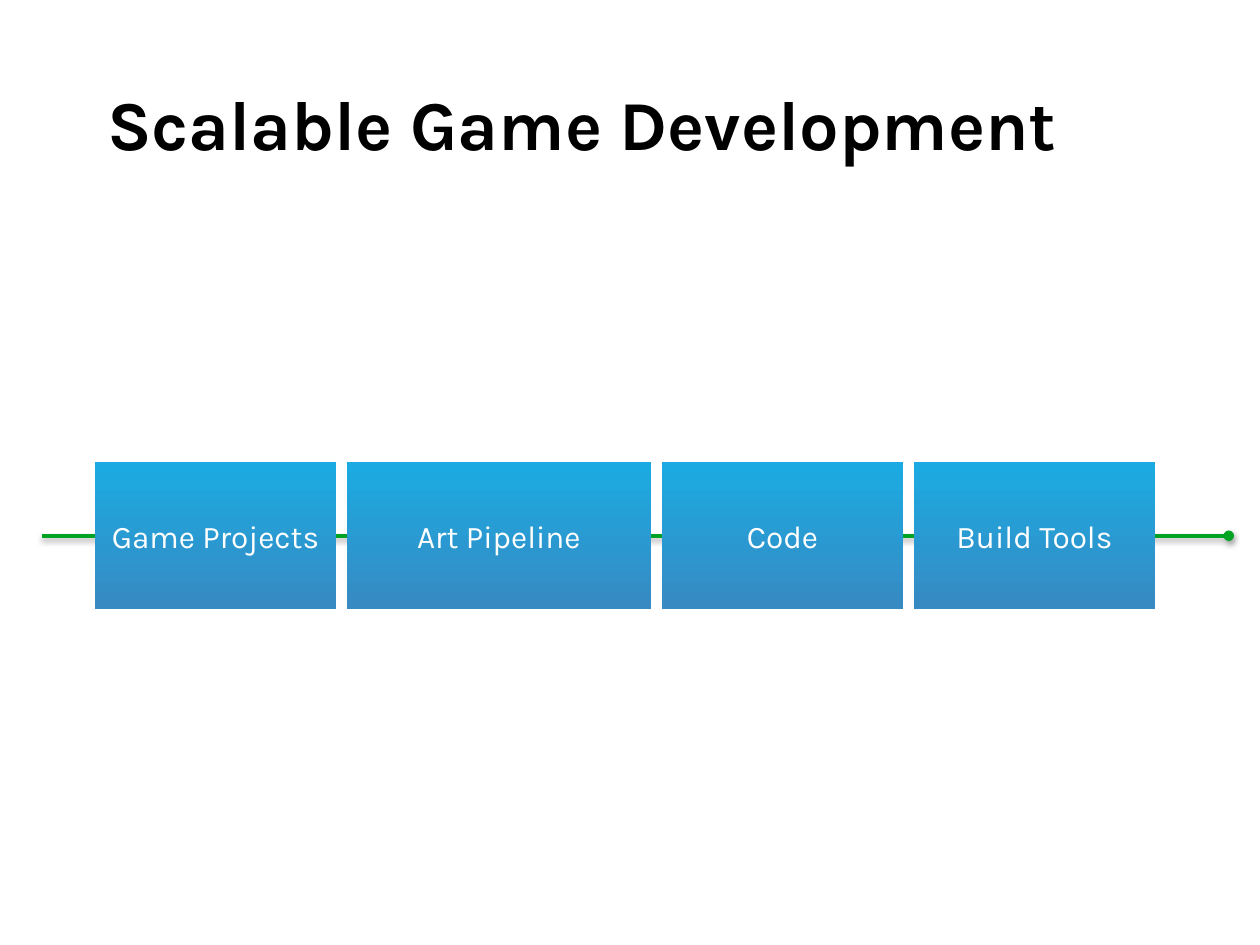
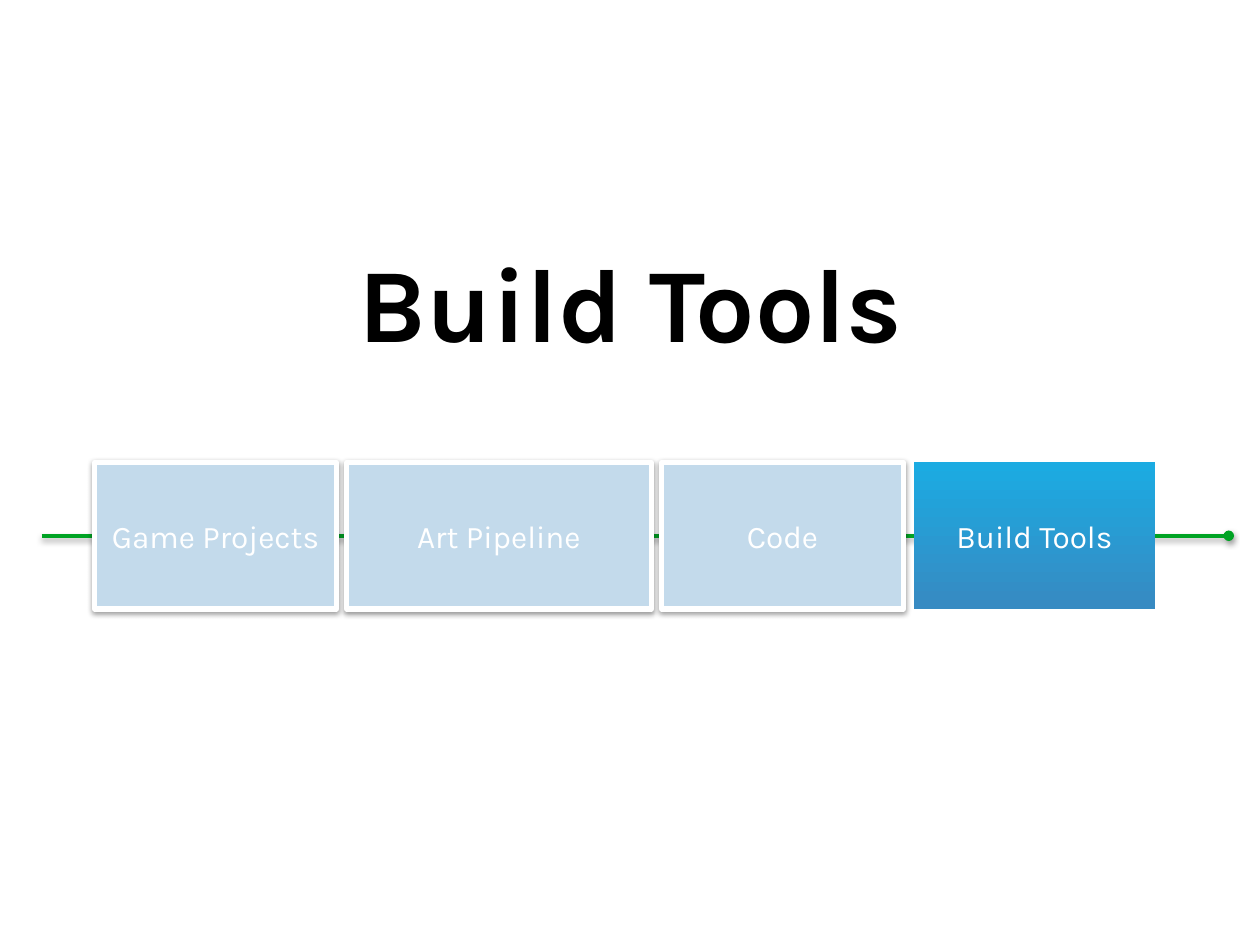
from lxml import etree
from pptx import Presentation
from pptx.dml.color import RGBColor
from pptx.enum.shapes import MSO_CONNECTOR, MSO_SHAPE
from pptx.enum.text import MSO_ANCHOR, PP_ALIGN
from pptx.oxml import parse_xml
from pptx.oxml.ns import nsdecls, qn
from pptx.util import Cm, Pt

BLACK = RGBColor(0x00, 0x00, 0x00)
WHITE = RGBColor(0xFF, 0xFF, 0xFF)
GREEN = RGBColor(0x00, 0xA3, 0x24)
BRIGHT_BLUE = RGBColor(0x1B, 0xAB, 0xE2)
DEEP_BLUE = RGBColor(0x37, 0x8A, 0xC2)
PALE_BLUE = RGBColor(0xC3, 0xDA, 0xEB)
FONT = "Karla"

TITLE_LEFT, TITLE_WIDTH, TITLE_HEIGHT = Cm(1.91), Cm(21.59), Cm(4.09)
TIMELINE_BOX = (Cm(0.84), Cm(9.32), Cm(23.93), Cm(2.96))
FIRST_STAGE_OFFSET = Cm(1.07)
STAGE_GAP = Cm(0.21)
STAGES = [
    ("Game Projects", Cm(4.87)),
    ("Art Pipeline", Cm(6.14)),
    ("Code", Cm(4.87)),
    ("Build Tools", Cm(4.87)),
]


def write_text(shape, text, size, color, bold=False, align=PP_ALIGN.CENTER):
    frame = shape.text_frame
    frame.word_wrap = True
    frame.vertical_anchor = MSO_ANCHOR.MIDDLE
    paragraph = frame.paragraphs[0]
    paragraph.text = text
    paragraph.alignment = align
    font = paragraph.font
    font.name, font.size, font.bold = FONT, Pt(size), bold
    font.color.rgb = color


def set_shadow(shape, visible):
    """Replace the theme shadow with a soft drop shadow, or with none."""
    shadow = (
        f'<a:outerShdw blurRad="{Pt(3.1)}" dist="{Pt(1.6)}" dir="5400000" rotWithShape="0">'
        f'<a:srgbClr val="{BLACK}"><a:alpha val="38000"/></a:srgbClr></a:outerShdw>'
    )
    effects = f'<a:effectLst {nsdecls("a")}>{shadow if visible else ""}</a:effectLst>'
    shape._element.spPr.append(parse_xml(effects))


def add_title(slide, text, top, size, align):
    title = slide.shapes.add_textbox(TITLE_LEFT, top, TITLE_WIDTH, TITLE_HEIGHT)
    write_text(title, text, size, BLACK, bold=True, align=align)


def add_axis(slide, left, middle, width):
    axis = slide.shapes.add_connector(
        MSO_CONNECTOR.STRAIGHT, left, middle, left + width, middle
    )
    axis.line.color.rgb = GREEN
    axis.line.width = Pt(2)
    etree.SubElement(axis.line._ln, qn("a:tailEnd"), type="oval")
    set_shadow(axis, True)


def add_stage(slide, text, left, top, width, height, active):
    stage = slide.shapes.add_shape(MSO_SHAPE.RECTANGLE, left, top, width, height)
    if active:
        stage.fill.gradient()
        stage.fill.gradient_angle = 270
        stops = zip(stage.fill.gradient_stops, (0, 1), (BRIGHT_BLUE, DEEP_BLUE))
        for stop, position, color in stops:
            stop.position = position
            stop.color.rgb = color
        stage.line.fill.background()
    else:
        stage.fill.solid()
        stage.fill.fore_color.rgb = PALE_BLUE
        stage.line.color.rgb = WHITE
        stage.line.width = Pt(3)
    set_shadow(stage, not active)
    write_text(stage, text, 18, WHITE)


def add_timeline(slide, box, active_stages):
    left, top, width, height = box
    add_axis(slide, left, top + height // 2, width)
    stage_left = left + FIRST_STAGE_OFFSET
    for name, stage_width in STAGES:
        add_stage(slide, name, stage_left, top, stage_width, height, name in active_stages)
        stage_left += stage_width + STAGE_GAP


def add_overview_slide(presentation, title):
    slide = presentation.slides.add_slide(presentation.slide_layouts[6])
    add_timeline(slide, TIMELINE_BOX, [name for name, _ in STAGES])
    add_title(slide, title, Cm(0.43), 40, PP_ALIGN.LEFT)


def add_section_slide(presentation, stage_name):
    slide = presentation.slides.add_slide(presentation.slide_layouts[6])
    add_title(slide, stage_name, Cm(4.01), 60, PP_ALIGN.CENTER)
    add_timeline(slide, TIMELINE_BOX, [stage_name])


def main():
    presentation = Presentation()
    presentation.slide_width, presentation.slide_height = Cm(25.4), Cm(19.05)
    add_overview_slide(presentation, "Scalable Game Development")
    add_section_slide(presentation, "Build Tools")
    presentation.save("out.pptx")


if __name__ == "__main__":
    main()
